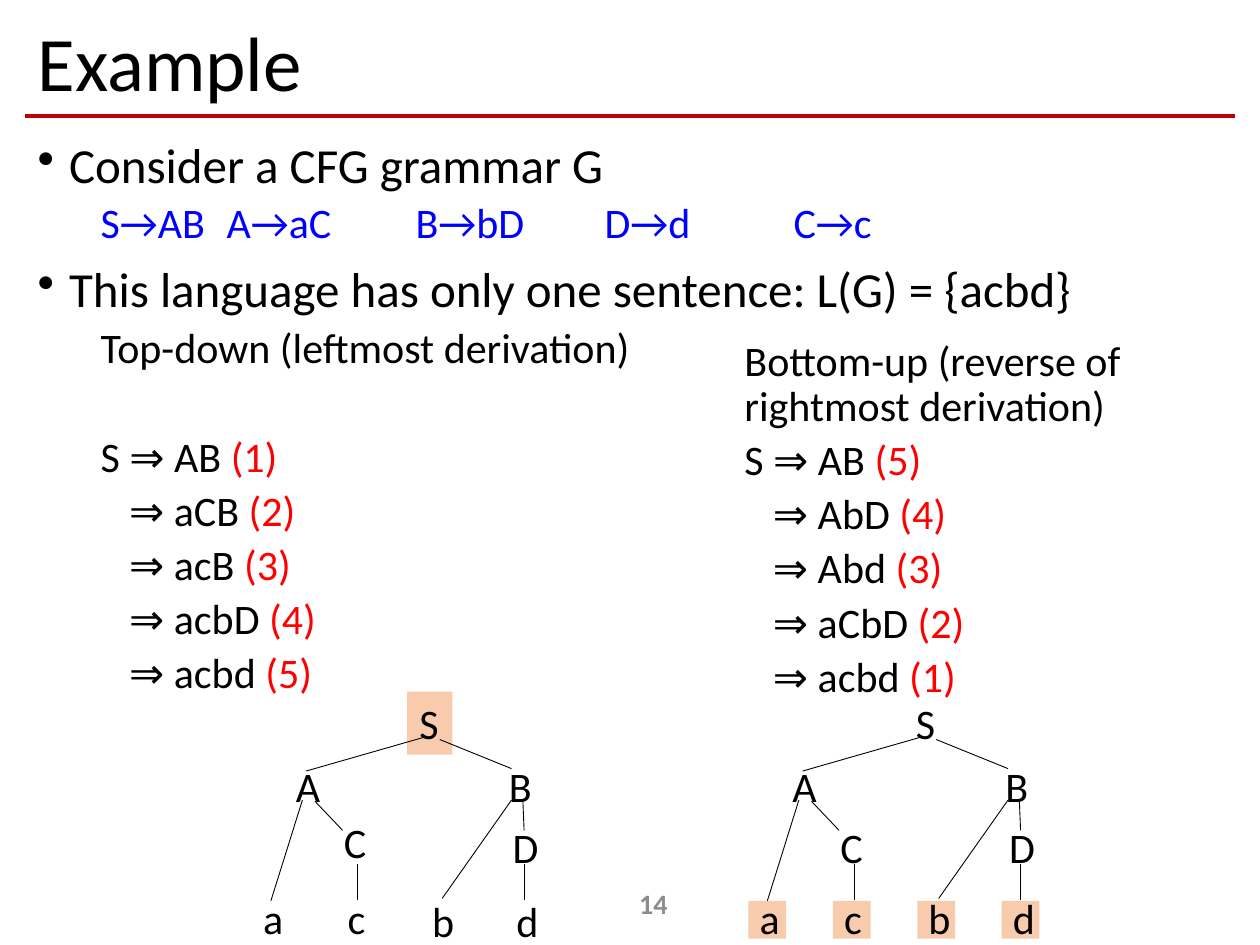
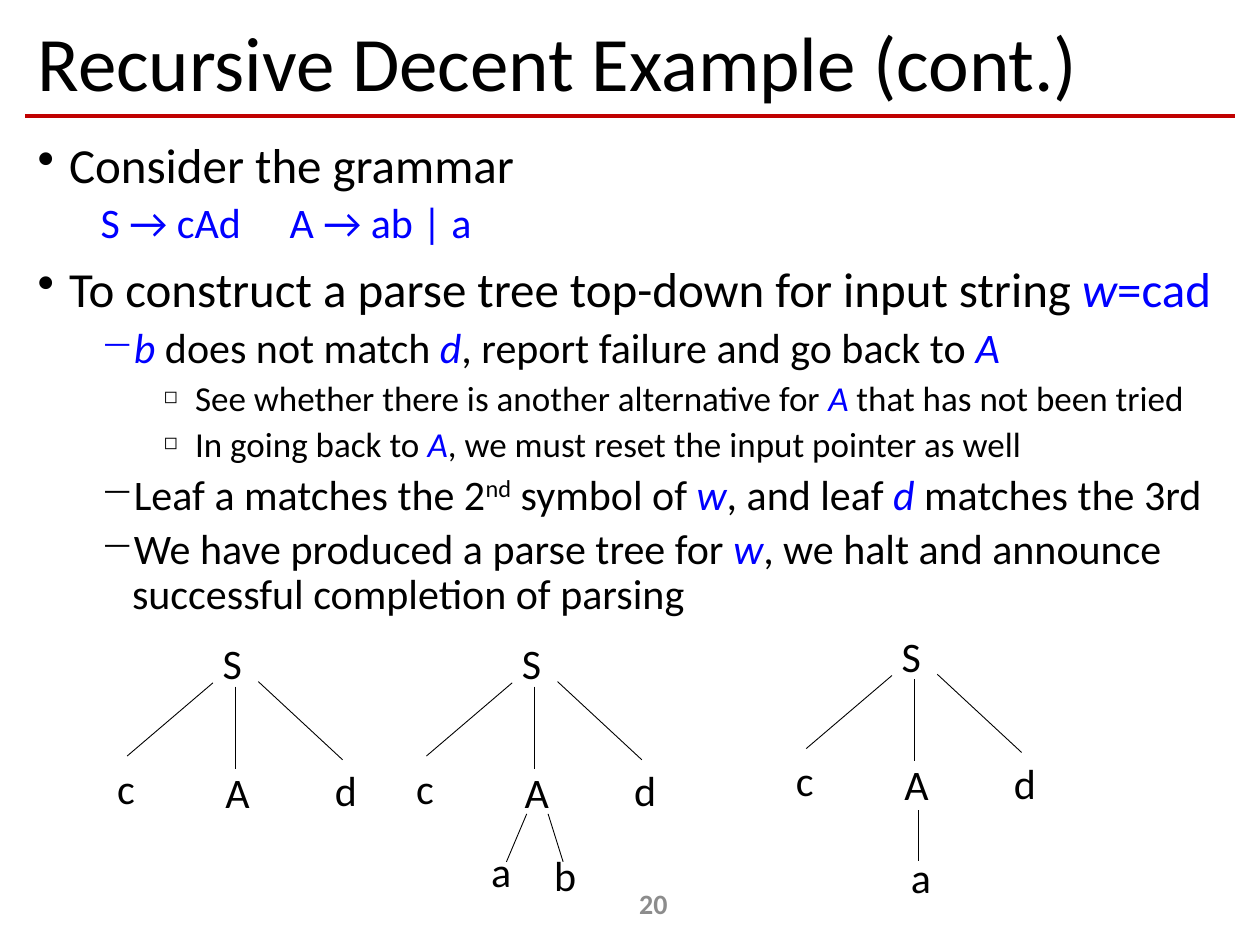
from lxml import etree
from pptx import Presentation
from pptx.dml.color import RGBColor
from pptx.enum.shapes import MSO_CONNECTOR, MSO_SHAPE
from pptx.enum.text import MSO_ANCHOR, MSO_AUTO_SIZE, PP_ALIGN
from pptx.oxml.ns import qn
from pptx.util import Pt

STRAIGHT = MSO_CONNECTOR.STRAIGHT
RECTANGLE = MSO_SHAPE.RECTANGLE
MIDDLE, TOP = MSO_ANCHOR.MIDDLE, MSO_ANCHOR.TOP
LEFT, CENTER = PP_ALIGN.LEFT, PP_ALIGN.CENTER
GROW = MSO_AUTO_SIZE.SHAPE_TO_FIT_TEXT

BLACK = RGBColor(0x00, 0x00, 0x00)
BLUE = RGBColor(0x00, 0x00, 0xFF)
RED = RGBColor(0xFF, 0x00, 0x00)
GRAY = RGBColor(0x8C, 0x8C, 0x8C)
DARK_RED = RGBColor(0xC0, 0x00, 0x00)
PEACH = RGBColor(0xF8, 0xCB, 0xAD)

FORMULA = {"color": BLUE}
VARIABLE = {"color": BLUE, "italic": True}
STEP = {"color": RED}
SUPERSCRIPT = {"baseline": 30000}

LEVELS = {
    "title": {"size": 44},
    "point": {"size": 28, "left": 18, "first": -18, "before": 10, "bullet": "•"},
    "plain": {"size": 24, "left": 36, "before": 5},
    "spaced": {"size": 24, "left": 36, "before": 36.4},
    "step": {"size": 24, "left": 52.3, "before": 5},
    "dash": {"size": 24, "left": 54, "first": -18, "before": 5, "bullet": "−"},
    "square": {"size": 20, "left": 90, "first": -18, "before": 5, "bullet": "◻", "bullet_size": 50000},
}

NODE_HEIGHT = 36
NODE_WIDTHS = {"S": 25.9, "A": 28.8, "B": 28.8, "C": 27.4, "D": 29.5,
               "a": 25.9, "b": 27.4, "c": 24.5, "d": 27.4}
LEAF_STEP = 48.24


class Deck:
    font_name = "Calibri"

    def __init__(self):
        self.presentation = Presentation()
        self.presentation.slide_width = Pt(720)
        self.presentation.slide_height = Pt(540)
        self.slide = None

    def new_slide(self, title, number):
        self.slide = self.presentation.slides.add_slide(self.presentation.slide_layouts[6])
        self.line((14.4, 66.2), (705.6, 66.2), DARK_RED, 2.5)
        self.text((14.4, 9.4, 692, 56.9), [("title", [title])], MIDDLE)
        frame = self.frame((292.3, 501.8, 162, 28.8), MIDDLE)
        frame.paragraphs[0].alignment = CENTER
        self.run(frame.paragraphs[0], number, size=Pt(16), bold=True, color=GRAY)

    def line(self, start, end, color=BLACK, width=0.5):
        connector = self.slide.shapes.add_connector(STRAIGHT, *map(Pt, start + end))
        connector.line.color.rgb = color
        connector.line.width = Pt(width)
        etree.SubElement(connector._element.spPr, qn("a:effectLst"))

    def box(self, bounds):
        shape = self.slide.shapes.add_shape(RECTANGLE, *map(Pt, bounds))
        shape.shadow.inherit = False
        shape.fill.solid()
        shape.fill.fore_color.rgb = PEACH
        shape.line.fill.background()

    def frame(self, bounds, anchor=TOP, **changes):
        frame = self.slide.shapes.add_textbox(*map(Pt, bounds)).text_frame
        settings = {"word_wrap": True, "vertical_anchor": anchor, **changes}
        for name, value in settings.items():
            setattr(frame, name, value)
        return frame

    def run(self, paragraph, text, color=BLACK, baseline=None, **changes):
        run = paragraph.add_run()
        run.text = text
        for name, value in {"name": self.font_name, **changes}.items():
            setattr(run.font, name, value)
        run.font.color.rgb = color
        if baseline:
            run.font._element.set("baseline", str(baseline))

    def text(self, bounds, lines, anchor=TOP):
        frame = self.frame(bounds, anchor)
        for index, (level, parts) in enumerate(lines):
            paragraph = frame.add_paragraph() if index else frame.paragraphs[0]
            style = LEVELS[level]
            spacing = {"alignment": LEFT, "line_spacing": 0.9, "space_before": Pt(style.get("before", 0))}
            for name, value in spacing.items():
                setattr(paragraph, name, value)
            self.indent(paragraph, style)
            for part in parts:
                words, changes = (part, {}) if isinstance(part, str) else part
                self.run(paragraph, words, size=Pt(style["size"]), **changes)

    def indent(self, paragraph, style):
        properties = paragraph._p.get_or_add_pPr()
        properties.set("marL", str(Pt(style.get("left", 0))))
        properties.set("indent", str(Pt(style.get("first", 0))))
        if "bullet_size" in style:
            etree.SubElement(properties, qn("a:buSzPct"), val=str(style["bullet_size"]))
        if "bullet" in style:
            etree.SubElement(properties, qn("a:buChar"), char=style["bullet"])
        else:
            etree.SubElement(properties, qn("a:buNone"))

    def node(self, label, left, top):
        bounds = (left, top, NODE_WIDTHS[label], NODE_HEIGHT)
        frame = self.frame(bounds, word_wrap=False, auto_size=GROW)
        self.run(frame.paragraphs[0], label, size=Pt(24))

    def tree(self, nodes, branches, right=0, down=0):
        for start, end in branches:
            self.line((start[0] + right, start[1] + down), (end[0] + right, end[1] + down))
        for label, (left, top) in nodes.items():
            self.node(label, left + right, top + down)


def derivation(first_level, sentences, numbers):
    lines = []
    for index, (sentence, number) in enumerate(zip(sentences, numbers)):
        level, start = ("step", "⇒ ") if index else (first_level, "S ⇒ ")
        lines.append((level, [f"{start}{sentence} ", (f"({number})", STEP)]))
    return lines


def derivation_slide(deck):
    deck.new_slide("Example", "14")
    deck.text((14.4, 77, 692, 409), [
        ("point", ["Consider a CFG grammar G"]),
        ("plain", [("S→AB \tA→aC \t\tB→bD \t\tD→d \t\tC→c", FORMULA)]),
        ("point", ["This language has only one sentence: L(G) = {acbd}"]),
        ("plain", ["Top-down (leftmost derivation)"]),
        *derivation("spaced", ["AB", "aCB", "acB", "acbD", "acbd"], range(1, 6)),
    ])
    deck.text((382.3, 190.8, 323.3, 226.8), [
        ("plain", ["Bottom-up (reverse of rightmost derivation)"]),
        *derivation("plain", ["AB", "AbD", "Abd", "aCbD", "acbd"], range(5, 0, -1)),
    ])

    inner_nodes = {"S": (232.6, 395.3), "A": (162, 431.3), "B": (283.7, 431.3), "D": (285.8, 465.8)}
    branches = [
        ((242.6, 421.2), (175, 440.6)), ((251.3, 422.6), (292.3, 439.2)),
        ((180, 457.9), (195.8, 474.5)), ((172.8, 457.2), (154.8, 514.8)),
        ((292.3, 457.2), (252.7, 513.4)), ((298.8, 457.9), (299.5, 474.5)),
        ((204.5, 493.9), (204.5, 514.1)), ((299.5, 493.9), (299.5, 514.1)),
    ]

    def nodes(c_top, leaf_tops):
        leaves = {label: (143.3 + LEAF_STEP * index, top)
                  for index, (label, top) in enumerate(zip("acbd", leaf_tops))}
        return {**inner_nodes, "C": (189.4, c_top), **leaves}

    deck.box((*inner_nodes["S"], NODE_WIDTHS["S"], NODE_HEIGHT))
    for index in range(4):
        deck.box((427.7 + LEAF_STEP * index, 514.8, 21.6, 21.6))
    deck.tree(nodes(463, [506.2, 506.2, 508.3, 508.3]), branches)
    deck.tree(nodes(465.8, [506.2] * 4), branches, right=283.7)


def backtracking_slide(deck):
    deck.new_slide("Recursive Decent Example (cont.)", "20")
    deck.text((14.4, 77, 692, 409), [
        ("point", ["Consider the grammar"]),
        ("plain", [("S → cAd\tA → ab | a", FORMULA)]),
        ("point", ["To construct a parse tree top-down for input string ",
                   ("w", VARIABLE), ("=cad", FORMULA)]),
        ("dash", [("b", VARIABLE), " does not match ", ("d", VARIABLE),
                  ", report failure and go back to ", ("A", VARIABLE)]),
        ("square", ["See whether there is another alternative for ", ("A", VARIABLE),
                    " that has not been tried"]),
        ("square", ["In going back to ", ("A", VARIABLE),
                    ", we must reset the input pointer as well"]),
        ("dash", ["Leaf a matches the 2", ("nd", SUPERSCRIPT), " symbol of ", ("w", VARIABLE),
                  ", and leaf ", ("d", VARIABLE), " matches the 3rd"]),
        ("dash", ["We have produced a parse tree for ", ("w", VARIABLE),
                  ", we halt and announce successful completion of parsing"]),
    ])

    nodes = {"S": (120.2, 360.7), "c": (59.8, 432), "A": (121.7, 434.2), "d": (184.3, 433.4)}
    branches = [((121.7, 390.2), (72.7, 432)), ((134.6, 392.4), (134.6, 439.2)),
                ((147.6, 389.5), (195.8, 434.2))]
    for right, down in [(0, 0), (171, 0), (388, -4.2)]:
        deck.tree(nodes, branches, right, down)
    deck.tree({"a": (273.6, 479.5), "b": (309.6, 481.7)},
              [((301, 465.1), (289.4, 492.5)), ((313.2, 465.1), (321.8, 492.5))])
    deck.tree({"a": (513.4, 483.1)}, [((524.9, 463), (524.9, 491.8))])


def main():
    deck = Deck()
    derivation_slide(deck)
    backtracking_slide(deck)
    deck.presentation.save("out.pptx")


if __name__ == "__main__":
    main()
